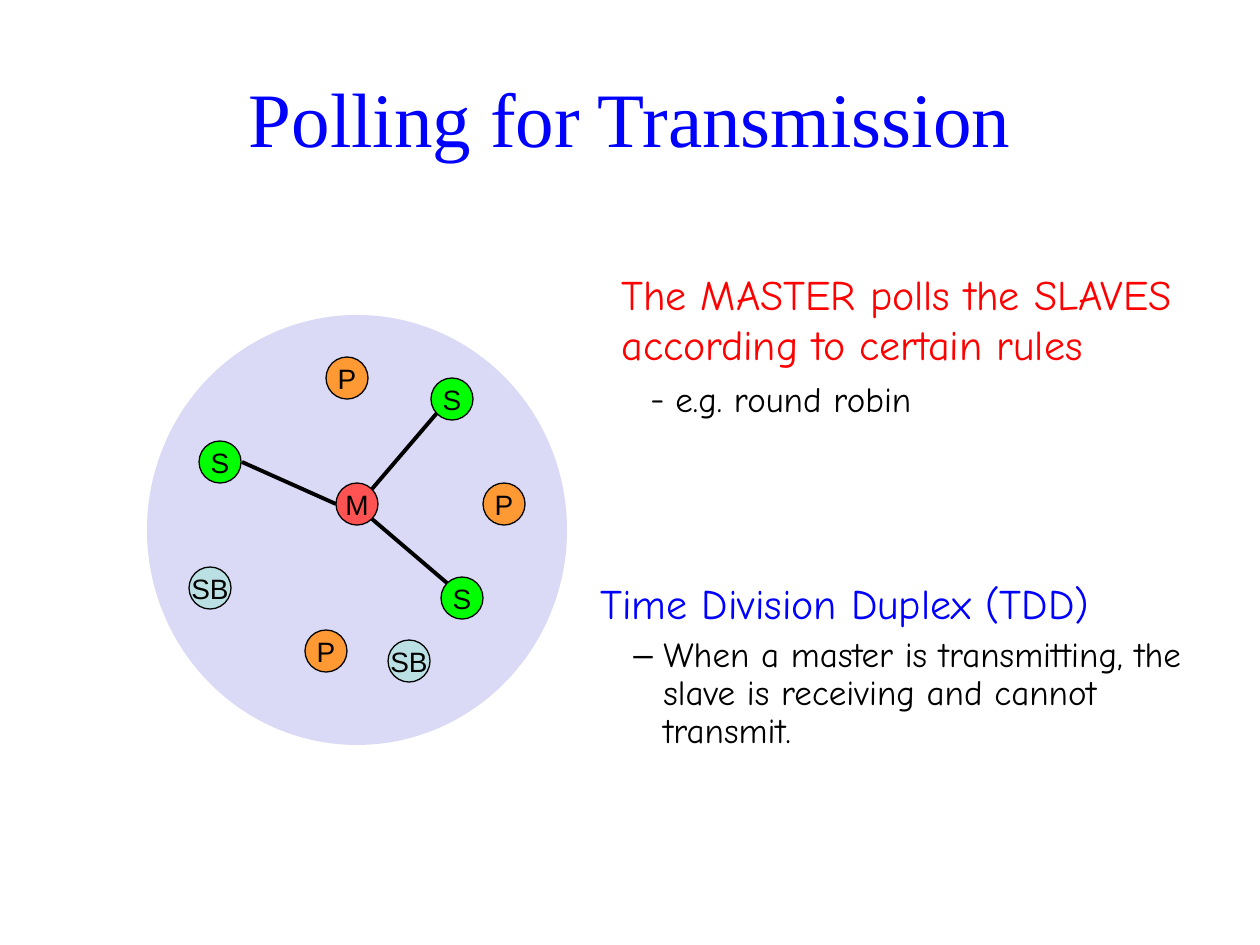
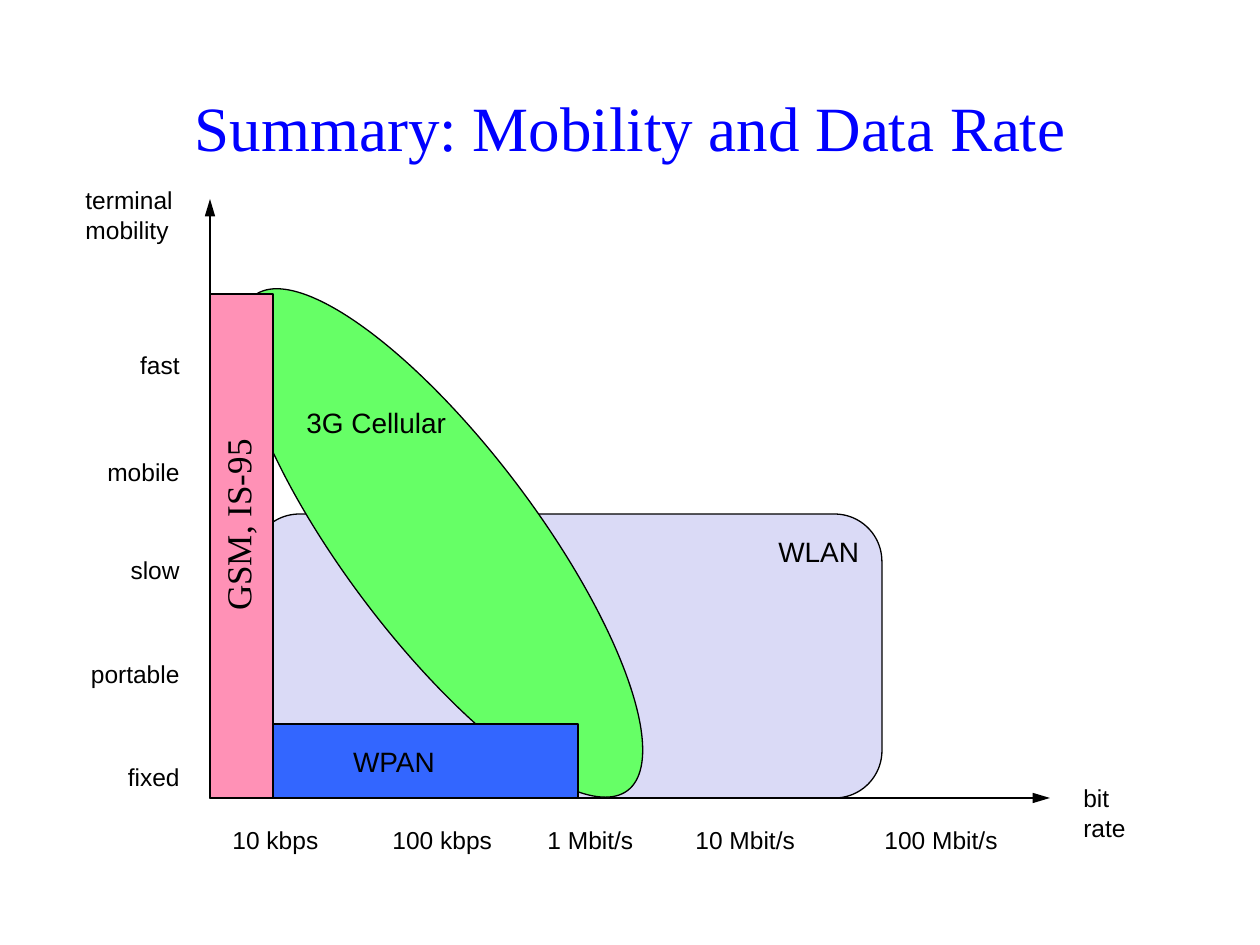
from lxml.etree import SubElement
from pptx import Presentation
from pptx.dml.color import RGBColor
from pptx.enum.shapes import MSO_CONNECTOR, MSO_SHAPE
from pptx.enum.text import MSO_ANCHOR, PP_ALIGN
from pptx.oxml.ns import qn
from pptx.util import Pt

EMU_PER_PX = 914400 / 126
COLORS = {
    "title": "0000FF",
    "rule": "FF0000",
    "ink": "000000",
    "area": "DADAF6",
    "master": "FF5353",
    "slave": "00FF00",
    "parked": "FF9933",
    "standby": "BBE0E3",
    "cellular": "66FF66",
    "wpan": "3366FF",
    "gsm": "FF91B6",
}
SERIF, SANS, HAND = "Times New Roman", "Arial", "Comic Neue"
NODE_SIZE = 42


def px(length):
    return round(length * EMU_PER_PX)


def place(box, left, top, width, height):
    return box[0] + left, box[1] + top, width, height


def format_paragraph(paragraph, size, font, color="ink", align=PP_ALIGN.LEFT):
    paragraph.alignment = align
    for run in paragraph.runs:
        run.font.size = Pt(size)
        run.font.name = font
        run.font.color.rgb = RGBColor.from_string(COLORS[color])


def write(frame, text, size, font=SANS, color="ink", align=PP_ALIGN.LEFT,
          anchor=MSO_ANCHOR.TOP, wrap=True):
    frame.text = text
    frame.word_wrap = wrap
    frame.vertical_anchor = anchor
    for paragraph in frame.paragraphs:
        format_paragraph(paragraph, size, font, color, align)


def add_text(slide, box, text, size, **style):
    label = slide.shapes.add_textbox(*map(px, box))
    write(label.text_frame, text, size, **style)
    return label


def add_area(slide, kind, box, color, outlined=True):
    area = slide.shapes.add_shape(kind, *map(px, box))
    area.shadow.inherit = False
    area.fill.solid()
    area.fill.fore_color.rgb = RGBColor.from_string(COLORS[color])
    if outlined:
        area.line.color.rgb = RGBColor.from_string(COLORS["ink"])
        area.line.width = Pt(0.75)
    else:
        area.line.fill.background()
    return area


def add_line(slide, box, start, end, width, arrow=False):
    points = [px(box[axis] + point[axis]) for point in (start, end) for axis in (0, 1)]
    line = slide.shapes.add_connector(MSO_CONNECTOR.STRAIGHT, *points)
    line.line.color.rgb = RGBColor.from_string(COLORS["ink"])
    line.line.width = Pt(width)
    if arrow:
        SubElement(line.line._get_or_add_ln(), qn("a:tailEnd"), type="triangle", len="lg")
    SubElement(line._element.spPr, qn("a:effectLst"))


def add_title(slide, box, text, size):
    add_text(slide, box, text, size, font=SERIF, color="title",
             align=PP_ALIGN.CENTER, anchor=MSO_ANCHOR.MIDDLE)


def add_point(slide, box, heading, color, detail, bullet, bullet_font,
              indent, hanging, spacing, gap):
    point = add_text(slide, box, heading, 24, font=HAND, color=color)
    point.text_frame.paragraphs[0].line_spacing = spacing
    paragraph = point.text_frame.add_paragraph()
    paragraph.text = detail
    paragraph.line_spacing = spacing
    paragraph.space_before = Pt(gap)
    properties = paragraph._p.get_or_add_pPr()
    properties.set("marL", str(px(indent)))
    properties.set("indent", str(-px(hanging)))
    bullet_color = SubElement(properties, qn("a:buClr"))
    SubElement(bullet_color, qn("a:srgbClr"), val=COLORS["ink"])
    SubElement(properties, qn("a:buFont"), typeface=bullet_font)
    SubElement(properties, qn("a:buChar"), char=bullet)
    format_paragraph(paragraph, 20, HAND)


def add_piconet(slide, box):
    add_area(slide, MSO_SHAPE.OVAL, box, "area", outlined=False)
    nodes = [
        ("M", "master", [(189, 168)]),
        ("S", "slave", [(52, 126), (284, 63), (294, 262)]),
        ("P", "parked", [(158, 315), (179, 42), (336, 168)]),
        ("SB", "standby", [(42, 252), (241, 325)]),
    ]
    for name, color, spots in nodes:
        for spot in spots:
            node = add_area(slide, MSO_SHAPE.OVAL,
                            place(box, *spot, NODE_SIZE, NODE_SIZE), color)
            write(node.text_frame, name, 16, align=PP_ALIGN.CENTER,
                  anchor=MSO_ANCHOR.MIDDLE, wrap=False)
    links = [((189, 189), (95, 147)), ((225, 174), (290, 98)), ((300, 268), (225, 204))]
    for start, end in links:
        add_line(slide, box, start, end, 2.25)


def add_axes(slide, box):
    width, height = box[2:]
    origin = (0, height)
    add_line(slide, box, origin, (width, height), 1.5, arrow=True)
    add_line(slide, box, origin, (0, 0), 1.5, arrow=True)
    add_text(slide, place(box, -137, -20, 130, 72), "terminal\nmobility", 14)
    add_text(slide, place(box, 861, 578, 100, 72), "bit\nrate", 14)
    mobilities = [("fast", 145), ("mobile", 252), ("slow", 350),
                  ("portable", 454), ("fixed", 557)]
    for mobility, top in mobilities:
        add_text(slide, place(box, -137, top, 119, 43), mobility, 14, align=PP_ALIGN.RIGHT)
    rates = [("10 kbps", 10), ("100 kbps", 170), ("1 Mbit/s", 325),
             ("10 Mbit/s", 473), ("100 Mbit/s", 662)]
    for rate, left in rates:
        add_text(slide, place(box, left, 620, 145, 43), rate, 14)


def add_wlan(slide, box):
    wlan = add_area(slide, MSO_SHAPE.ROUNDED_RECTANGLE, box, "area")
    write(wlan.text_frame, "WLAN", 16, align=PP_ALIGN.RIGHT)
    wlan.text_frame.margin_right = px(9)


def add_technologies(slide, box):
    cellular = add_area(slide, MSO_SHAPE.OVAL, place(box, -79, 248, 620, 192), "cellular")
    cellular.rotation = 53
    add_text(slide, place(box, 84, 200, 190, 47), "3G Cellular", 16)
    wpan = add_area(slide, MSO_SHAPE.RECTANGLE, place(box, 0, 525, 368, 74), "wpan")
    write(wpan.text_frame, "WPAN", 16, align=PP_ALIGN.CENTER, anchor=MSO_ANCHOR.MIDDLE)
    add_area(slide, MSO_SHAPE.RECTANGLE, place(box, 0, 95, 63, 504), "gsm")
    gsm = add_text(slide, place(box, -109, 293, 273, 66), "GSM, IS-95", 20, font=SERIF,
                   align=PP_ALIGN.CENTER, anchor=MSO_ANCHOR.MIDDLE)
    gsm.rotation = 270


def build_polling(slide):
    add_title(slide, (63, 38, 1134, 158), "Polling for Transmission", 44)
    add_piconet(slide, (147, 315, 420, 430))
    add_point(slide, (609, 262, 609, 164),
              "The MASTER polls the SLAVES according to certain rules", "rule",
              "e.g. round robin", "-", HAND, indent=54, hanging=25, spacing=1.0, gap=5)
    add_point(slide, (588, 577, 651, 244),
              "Time Division Duplex (TDD)", "title",
              "When a master is transmitting, the slave is receiving and cannot transmit.",
              "–", SANS, indent=63, hanging=30, spacing=0.9, gap=5)


def build_summary(slide):
    diagram = (210, 199, 840, 599)
    add_wlan(slide, place(diagram, 42, 315, 630, 284))
    add_title(slide, (95, 63, 1071, 126), "Summary: Mobility and Data Rate", 36)
    add_axes(slide, diagram)
    add_technologies(slide, diagram)


def main():
    deck = Presentation()
    deck.slide_width, deck.slide_height = px(1260), px(945)
    for build in (build_polling, build_summary):
        build(deck.slides.add_slide(deck.slide_layouts[6]))
    deck.save("out.pptx")


if __name__ == "__main__":
    main()
